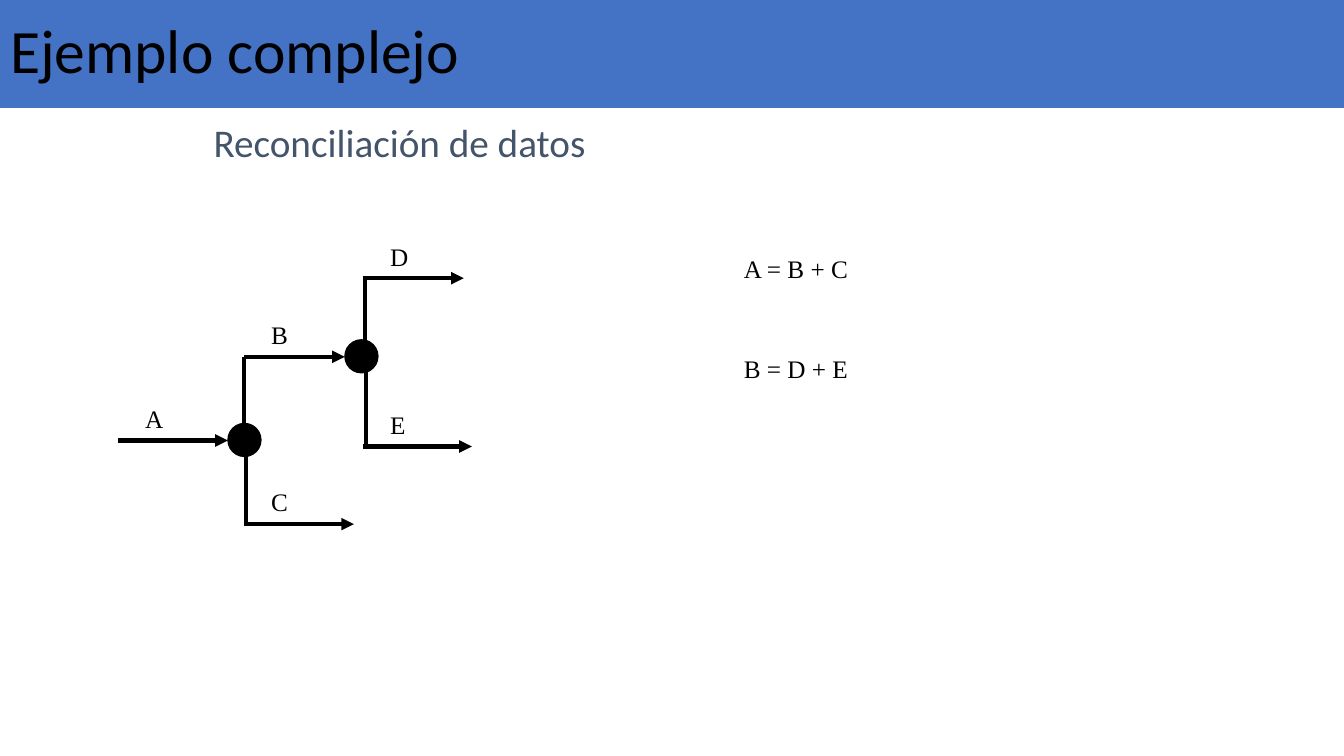
from lxml import etree
from pptx import Presentation
from pptx.dml.color import RGBColor
from pptx.enum.shapes import MSO_CONNECTOR, MSO_SHAPE
from pptx.enum.text import MSO_ANCHOR, MSO_AUTO_SIZE, PP_ALIGN
from pptx.oxml.ns import qn
from pptx.util import Inches, Pt

BLACK = RGBColor(0x00, 0x00, 0x00)
BLUE = RGBColor(0x44, 0x72, 0xC4)
SLATE = RGBColor(0x44, 0x54, 0x6A)
STRAIGHT = MSO_CONNECTOR.STRAIGHT
ELLIPSE = MSO_SHAPE.OVAL
MIDDLE, TOP = MSO_ANCHOR.MIDDLE, MSO_ANCHOR.TOP
LEFT = PP_ALIGN.LEFT
NO_AUTOFIT = MSO_AUTO_SIZE.NONE

SLIDE_WIDTH, SLIDE_HEIGHT = 13.33, 7.5
NODE_SIZE = 0.33
RISER_LENGTH = 0.75


def write_text(shape, text, size=18, font="Times New Roman", color=BLACK,
               anchor=TOP, line_spacing=None):
    frame = shape.text_frame
    frame.word_wrap = True
    frame.auto_size = NO_AUTOFIT
    frame.vertical_anchor = anchor
    paragraph = frame.paragraphs[0]
    paragraph.alignment = LEFT
    paragraph.line_spacing = line_spacing
    run = paragraph.add_run()
    run.text = text
    run.font.size = Pt(size)
    run.font.name = font
    run.font.color.rgb = color


def add_text(slide, text, left, top, width, height, **text_format):
    box = slide.shapes.add_textbox(
        Inches(left), Inches(top), Inches(width), Inches(height))
    write_text(box, text, **text_format)


def add_line(slide, start, end, arrow=False):
    line = slide.shapes.add_connector(
        STRAIGHT, *(Inches(value) for value in (*start, *end)))
    line.line.color.rgb = BLACK
    line.line.width = Pt(3)
    if arrow:
        outline = line.line._get_or_add_ln()
        etree.SubElement(outline, qn("a:tailEnd"), type="triangle")
    etree.SubElement(line._element.spPr, qn("a:effectLst"))


def add_stream(slide, name, left, y, length):
    """Draw a horizontal arrow with its name above it."""
    add_line(slide, (left, y), (left + length, y), arrow=True)
    add_text(slide, name, left + 0.17, y - 0.42, 0.58, 0.4)


def add_splitter(slide, left, top, riser_x, drop_x, streams):
    """Draw a node whose upper and lower streams leave by vertical lines."""
    node = slide.shapes.add_shape(
        ELLIPSE, Inches(left), Inches(top), Inches(NODE_SIZE), Inches(NODE_SIZE))
    node.shadow.inherit = False
    node.fill.solid()
    node.fill.fore_color.rgb = BLACK
    node.line.color.rgb = BLACK
    node.line.width = Pt(0.75)
    for stream in streams:
        add_stream(slide, *stream)
    upper_y, lower_y = (stream[2] for stream in streams)
    add_line(slide, (riser_x, upper_y + RISER_LENGTH), (riser_x, upper_y))
    add_line(slide, (drop_x, lower_y), (drop_x, lower_y - RISER_LENGTH))


def add_header(slide, left, top, width, height):
    title = slide.shapes.title
    title.left, title.top = Inches(left), Inches(top)
    title.width, title.height = Inches(width), Inches(height)
    title.fill.solid()
    title.fill.fore_color.rgb = BLUE
    write_text(title, "Ejemplo complejo", size=44, font="Calibri",
               anchor=MIDDLE, line_spacing=0.9)
    add_text(slide, "Reconciliación de datos", left + 2.02, top + 1.12, 6.74, 0.57,
             size=28, font="Calibri", color=SLATE)


def add_flow_diagram(slide, left, top):
    """Draw feed A split into B and C, then B split into D and E."""
    add_stream(slide, "A", left, top + 2.02, 1.09)
    add_splitter(slide, left + 1.09, top + 1.85, left + 1.25, left + 1.27,
                 [("B", left + 1.25, top + 1.19, 1.0),
                  ("C", left + 1.25, top + 2.85, 1.09)])
    add_splitter(slide, left + 2.25, top + 1.02, left + 2.45, left + 2.46,
                 [("D", left + 2.43, top + 0.41, 1.0),
                  ("E", left + 2.43, top + 2.08, 1.08)])


def add_balances(slide, left, top):
    for row, balance in enumerate(("A = B + C", "B = D + E")):
        add_text(slide, balance, left, top + row, 2.33, 0.4)


def main():
    presentation = Presentation()
    presentation.slide_width = Inches(SLIDE_WIDTH)
    presentation.slide_height = Inches(SLIDE_HEIGHT)
    title_only = presentation.slide_layouts[5]
    slide = presentation.slides.add_slide(title_only)
    add_header(slide, 0, 0, SLIDE_WIDTH, 1.07)
    add_flow_diagram(slide, 1.17, 2.35)
    add_balances(slide, 7.28, 2.46)
    presentation.save("out.pptx")


if __name__ == "__main__":
    main()
